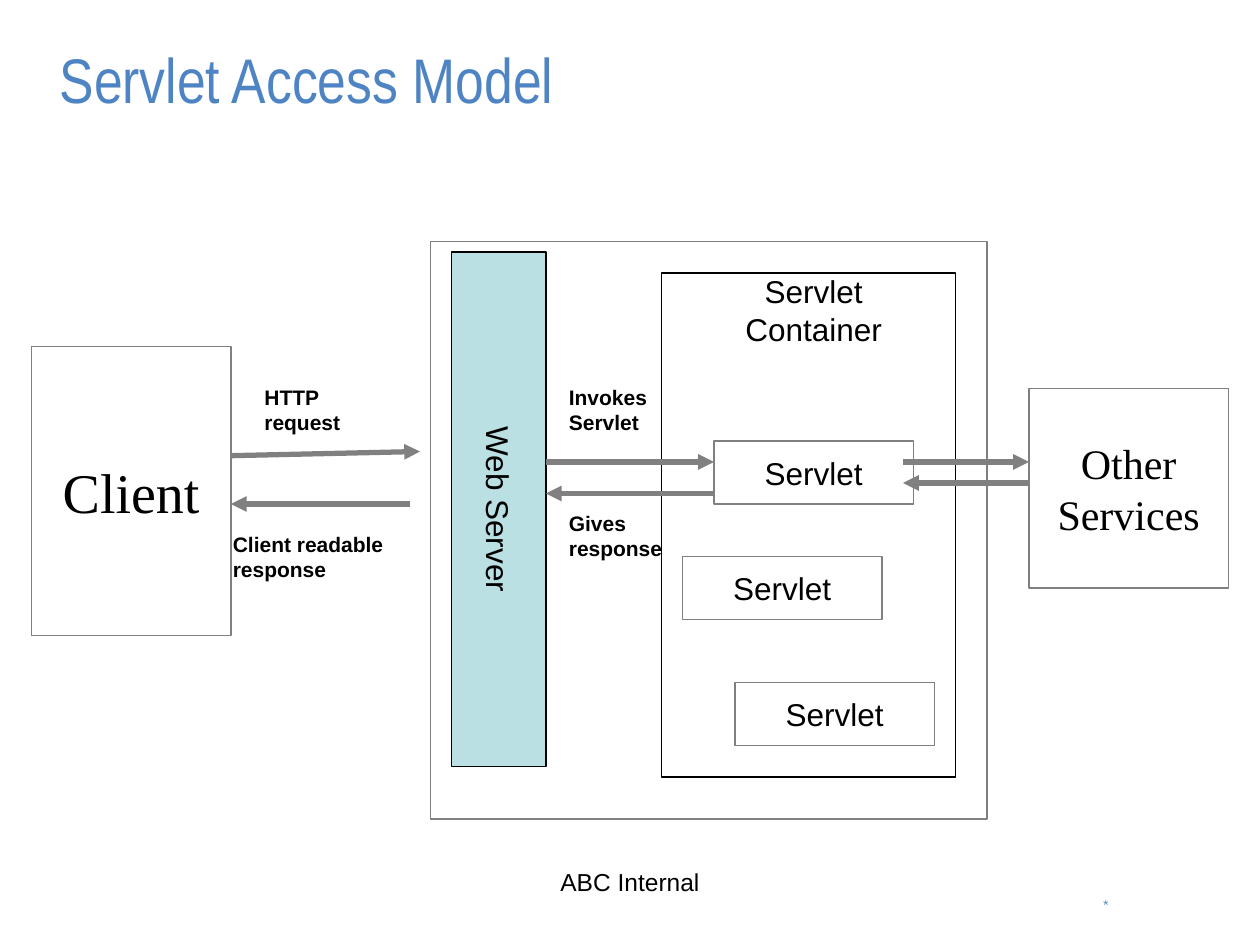
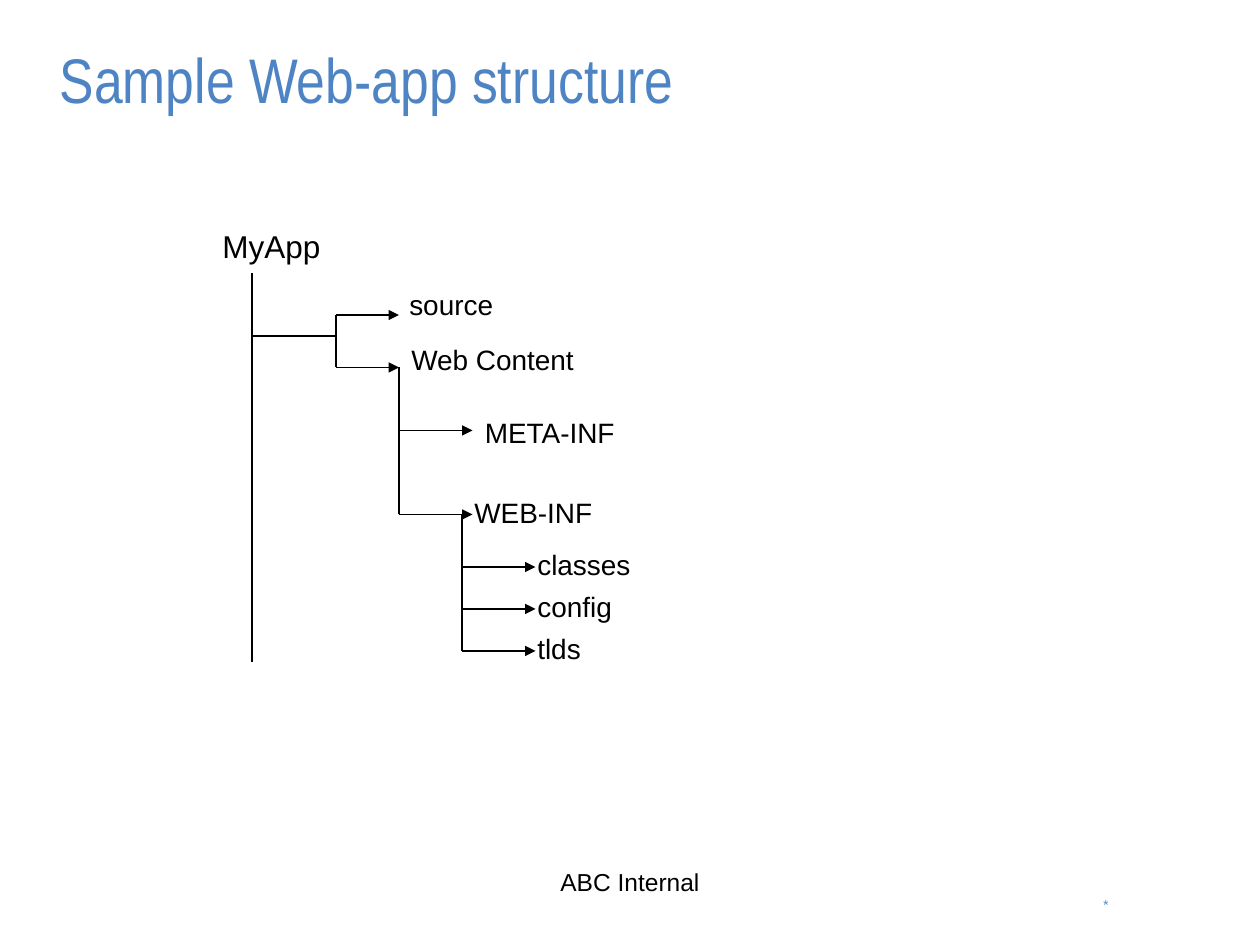
from lxml import etree
from pptx import Presentation
from pptx.dml.color import RGBColor
from pptx.enum.shapes import MSO_CONNECTOR, MSO_SHAPE
from pptx.enum.text import MSO_ANCHOR, PP_ALIGN
from pptx.oxml.ns import qn
from pptx.util import Inches, Pt

RECTANGLE = MSO_SHAPE.RECTANGLE
STRAIGHT = MSO_CONNECTOR.STRAIGHT
LEFT, CENTER, RIGHT = PP_ALIGN.LEFT, PP_ALIGN.CENTER, PP_ALIGN.RIGHT
TOP, MIDDLE = MSO_ANCHOR.TOP, MSO_ANCHOR.MIDDLE

# The slide is a grid of 120 columns by 90 rows
COLUMNS, ROWS = 120, 90
CELL = Inches(10) / COLUMNS

BLACK, GREY, BLUE, TEAL = "000000", "808080", "4E84C4", "BBE0E3"
SANS, NARROW, SERIF, NUMBER_FONT = "Arial", "Arial Narrow", "Times New Roman", "Karla"
BLANK_LAYOUT = 6


def cells(*counts):
    """Turn counts of grid cells into slide lengths."""
    return [round(count * CELL) for count in counts]


def color(hex_string):
    return RGBColor.from_string(hex_string)


def write(shape, text, size=18, font=SANS, hue=BLACK, bold=False, align=LEFT, anchor=TOP):
    """Fill a shape with text, one paragraph for each line."""
    frame = shape.text_frame
    frame.word_wrap = True
    frame.vertical_anchor = anchor
    frame.text = text
    for paragraph in frame.paragraphs:
        paragraph.alignment = align
        paragraph.font.size = Pt(size)
        paragraph.font.name = font
        paragraph.font.bold = bold
        paragraph.font.color.rgb = color(hue)


def add_text(slide, area, text, **style):
    write(slide.shapes.add_textbox(*cells(*area)), text, **style)


def add_box(slide, area, text="", outline=GREY, fill=None, rotation=0, **style):
    box = slide.shapes.add_shape(RECTANGLE, *cells(*area))
    box.shadow.inherit = False
    box.rotation = rotation
    if fill:
        box.fill.solid()
        box.fill.fore_color.rgb = color(fill)
    else:
        box.fill.background()
    box.line.color.rgb = color(outline)
    box.line.width = Pt(0.75)
    if text:
        write(box, text, align=CENTER, anchor=MIDDLE, **style)


def add_line(slide, start, end, hue=BLACK, width=0.75, arrow=False):
    line = slide.shapes.add_connector(STRAIGHT, *cells(*start, *end))
    line.line.color.rgb = color(hue)
    line.line.width = Pt(width)
    if arrow:
        etree.SubElement(line.line._get_or_add_ln(), qn("a:tailEnd"), type="triangle")
    etree.SubElement(line._element.spPr, qn("a:effectLst"))


def add_slide(presentation, title):
    """Add a slide with the shared title and footers."""
    slide = presentation.slides.add_slide(presentation.slide_layouts[BLANK_LAYOUT])
    add_text(slide, (88.2, 84.7, 18.6, 4.2), "*", size=9, font=NUMBER_FONT,
             hue=BLUE, align=RIGHT)
    add_text(slide, (41, 82, 38, 6.2), "ABC Internal", size=14, align=CENTER)
    add_text(slide, (4.5, 3.6, 110.8, 7.8), title, size=36, font=NARROW,
             hue=BLUE, anchor=MIDDLE)
    return slide


def draw_access_model(slide):
    add_box(slide, (3, 33, 19, 27.5), "Client", size=32, font=SERIF)
    add_box(slide, (41, 23, 53, 55))
    add_box(slide, (23, 44, 49, 9), "Web Server", outline=BLACK, fill=TEAL, rotation=90)
    add_box(slide, (63, 26, 28, 48), outline=BLACK)
    add_text(slide, (66, 27, 23, 5), "Servlet Container", align=CENTER, anchor=MIDDLE)
    for column, row in ((68, 42), (65, 53), (70, 65)):
        add_box(slide, (column, row, 19, 6), "Servlet")
    add_box(slide, (98, 37, 19, 19), "Other\nServices", size=24, font=SERIF)

    messages = (
        ((22, 43.4), (40, 43)),
        ((39, 48), (22, 48)),
        ((52, 44), (68, 44)),
        ((68, 47), (52, 47)),
        ((86, 44), (98, 44)),
        ((98, 46), (86, 46)),
    )
    for start, end in messages:
        add_line(slide, start, end, hue=GREY, width=3, arrow=True)

    captions = (
        ("HTTP request", 24, 36, 14),
        ("Client readable response", 21, 50, 25),
        ("Invokes Servlet", 53, 36, 14),
        ("Gives response", 53, 48, 14),
    )
    for text, column, row, width in captions:
        add_text(slide, (column, row, width, 6), text, size=12, bold=True)


def add_branch(slide, column, top, bottom, reach, entries):
    """Draw a trunk with one arrow of the given reach to each entry.

    An entry is its text, its arrow's row and its label's column, row and width.
    """
    add_line(slide, (column, top), (column, bottom))
    for text, row, label_column, label_row, width in entries:
        add_line(slide, (column, row), (column + reach, row), arrow=True)
        add_text(slide, (label_column, label_row, width, 4.4), text, size=16)


def draw_app_tree(slide):
    add_text(slide, (20, 21, 14, 4.8), "MyApp")
    add_line(slide, (24, 26), (24, 63))
    add_line(slide, (24, 32), (32, 32))
    add_branch(slide, 32, 30, 35, 6, (
        ("source", 30, 37.8, 26.8, 10.4),
        ("Web Content", 35, 38, 32, 19),
    ))
    add_branch(slide, 38, 35, 49, 7, (
        ("META-INF", 41, 45, 39, 16),
        ("WEB-INF", 49, 44, 46.6, 16),
    ))
    folders = ("classes", "config", "tlds")
    add_branch(slide, 44, 49, 62, 7, [
        (folder, 54 + 4 * index, 50, 51.6 + 4 * index, 13)
        for index, folder in enumerate(folders)
    ])


def main():
    presentation = Presentation()
    presentation.slide_width, presentation.slide_height = cells(COLUMNS, ROWS)
    draw_access_model(add_slide(presentation, "Servlet Access Model"))
    draw_app_tree(add_slide(presentation, "Sample Web-app structure"))
    presentation.save("out.pptx")


if __name__ == "__main__":
    main()
